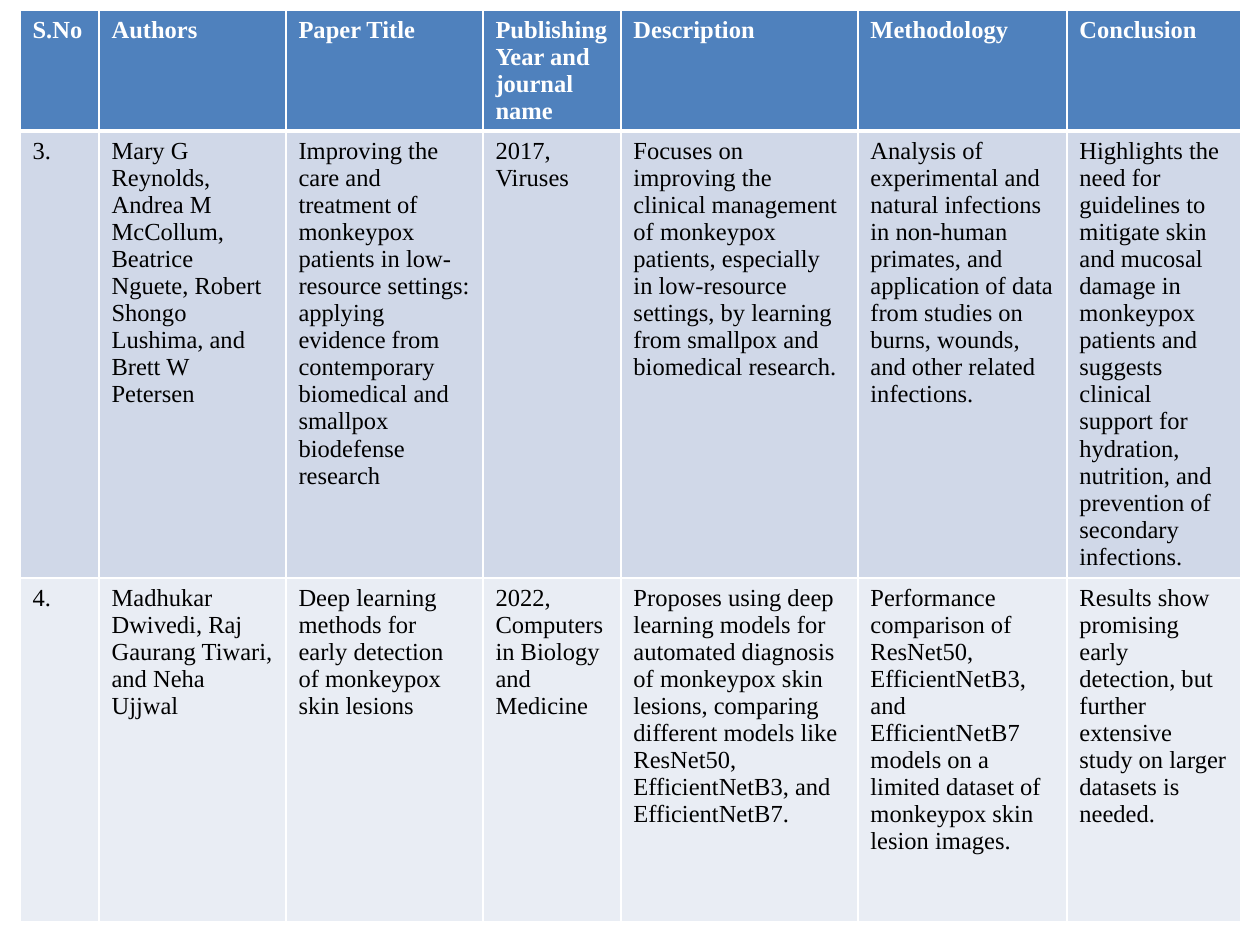
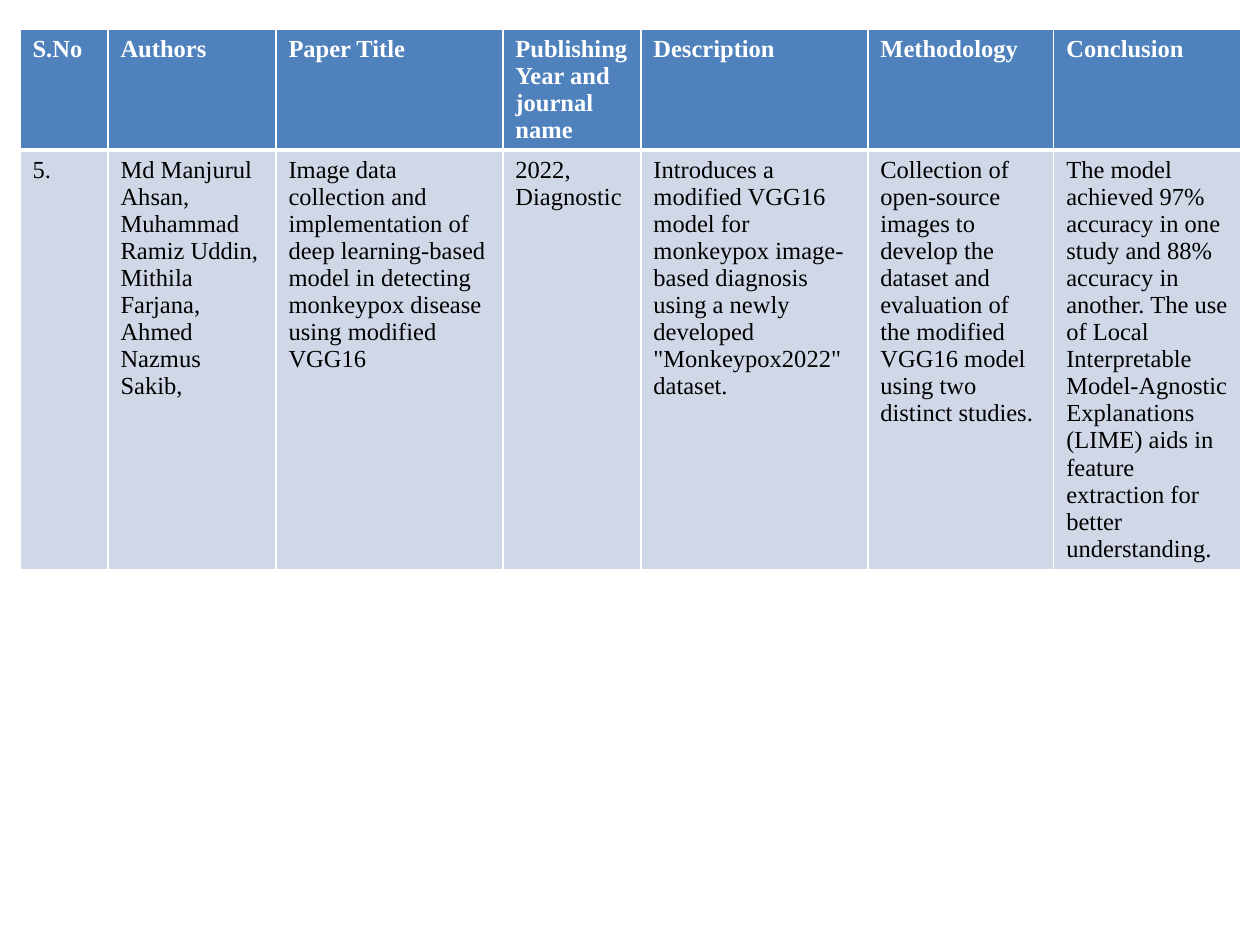
from lxml.etree import SubElement
from pptx import Presentation
from pptx.dml.color import RGBColor
from pptx.oxml.ns import qn
from pptx.util import Emu, Pt

PX = 914400 // 126
FONT = "Times New Roman"
FONT_SIZE = 14
WHITE, BLACK = "FFFFFF", "000000"
HEADER_FILL = "4F81BD"
BAND_FILLS = ("D0D8E8", "E9EDF4")
TABLE_LEFT = 20
HEADER_HEIGHT = 119
HEADINGS = ("S.No", "Authors", "Paper Title", "Publishing Year and journal name",
            "Description", "Methodology", "Conclusion")

# A vertical tab is a line break inside a paragraph.
CARE_AND_DETECTION = (
    ("3.",
     "Mary G Reynolds, Andrea M McCollum, Beatrice Nguete, Robert Shongo Lushima, "
     "and Brett W Petersen",
     "Improving the care and treatment of monkeypox patients in low-resource settings: "
     "applying evidence from contemporary biomedical and smallpox biodefense research",
     "2017,\vViruses",
     "Focuses on improving the clinical management of monkeypox patients, especially in "
     "low-resource settings, by learning from smallpox and biomedical research.",
     "Analysis of experimental and natural infections in non-human primates, and "
     "application of data from studies on burns, wounds, and other related infections.",
     "Highlights the need for guidelines to mitigate skin and mucosal damage in monkeypox "
     "patients and suggests clinical support for hydration, nutrition, and prevention of "
     "secondary infections."),
    ("4.",
     "Madhukar Dwivedi, Raj Gaurang Tiwari, and Neha Ujjwal",
     "Deep learning methods for early detection of monkeypox skin lesions",
     "2022,\vComputers in Biology and Medicine",
     "Proposes using deep learning models for automated diagnosis of monkeypox skin "
     "lesions, comparing different models like ResNet50, EfficientNetB3, and "
     "EfficientNetB7.",
     "Performance comparison of ResNet50, EfficientNetB3, and EfficientNetB7 models on a "
     "limited dataset of monkeypox skin lesion images.",
     "Results show promising early detection, but further extensive study on larger "
     "datasets is needed."),
)
IMAGE_DATASET = (
    ("5.",
     "Md Manjurul Ahsan, Muhammad Ramiz Uddin, Mithila Farjana, Ahmed Nazmus Sakib,",
     "Image data collection and implementation of deep learning-based model in detecting "
     "monkeypox disease using modified VGG16",
     "2022,\vDiagnostic",
     "Introduces a modified VGG16 model for monkeypox image-based diagnosis using a newly "
     'developed "Monkeypox2022" dataset.',
     "Collection of open-source images to develop the dataset and evaluation of the "
     "modified VGG16 model using two distinct studies.",
     "The model achieved 97% accuracy in one study and 88% accuracy in another. The use of "
     "Local Interpretable Model-Agnostic Explanations (LIME) aids in feature extraction "
     "for better understanding."),
)


def px(length):
    return Emu(length * PX)


def color(value):
    return RGBColor.from_string(value)


def set_borders(cell, bottom_width):
    """Draw white cell edges; must run before the fill, which follows them in the XML."""
    properties = cell._tc.get_or_add_tcPr()
    for side, width in (("L", 1), ("R", 1), ("T", 1), ("B", bottom_width)):
        line = SubElement(properties, qn(f"a:ln{side}"), w=str(Pt(width)))
        fill = SubElement(line, qn("a:solidFill"))
        SubElement(fill, qn("a:srgbClr"), val=WHITE)


def style_cell(cell, text, fill, is_header):
    set_borders(cell, 3 if is_header else 1)
    cell.fill.solid()
    cell.fill.fore_color.rgb = color(fill)
    cell.text = text
    font = cell.text_frame.paragraphs[0].font
    font.name, font.size, font.bold = FONT, Pt(FONT_SIZE), is_header
    font.color.rgb = color(WHITE if is_header else BLACK)


def add_survey_slide(deck, top, widths, heights, papers):
    """Add a page with one literature table: the headings, then a row per paper."""
    page = deck.slides.add_slide(deck.slide_layouts[6])
    rows = (HEADINGS, *papers)
    heights = (HEADER_HEIGHT, *heights)
    table = page.shapes.add_table(len(rows), len(HEADINGS), px(TABLE_LEFT), px(top),
                                  px(sum(widths)), px(sum(heights))).table
    for column, width in zip(table.columns, widths):
        column.width = px(width)
    for index, (texts, height) in enumerate(zip(rows, heights)):
        table.rows[index].height = px(height)
        is_header = index == 0
        fill = HEADER_FILL if is_header else BAND_FILLS[(index - 1) % 2]
        for cell, text in zip(table.rows[index].cells, texts):
            style_cell(cell, text, fill, is_header)


def main():
    deck = Presentation()
    deck.slide_width, deck.slide_height = px(1260), px(945)
    add_survey_slide(deck, 10, (79, 187, 197, 138, 237, 209, 174), (447, 344),
                     CARE_AND_DETECTION)
    add_survey_slide(deck, 29, (88, 168, 227, 138, 227, 186, 187), (420,),
                     IMAGE_DATASET)
    deck.save("out.pptx")


if __name__ == "__main__":
    main()
